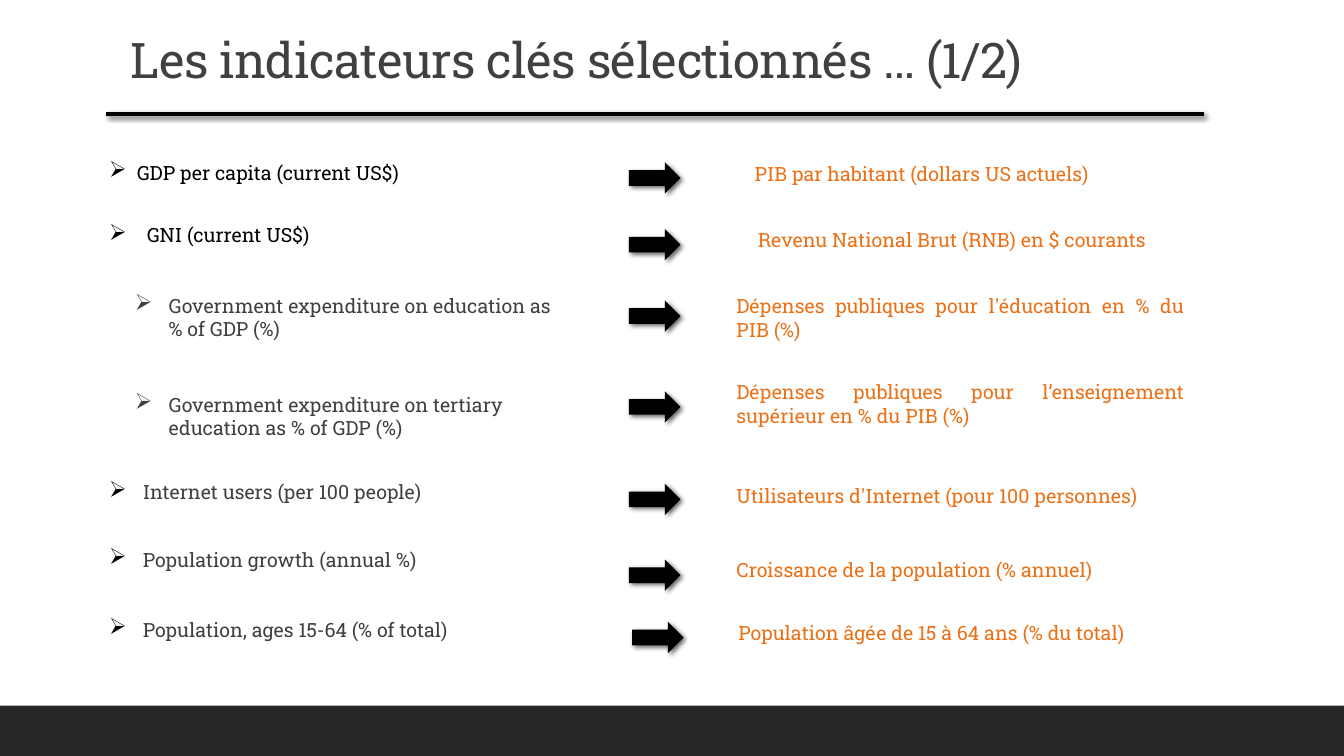
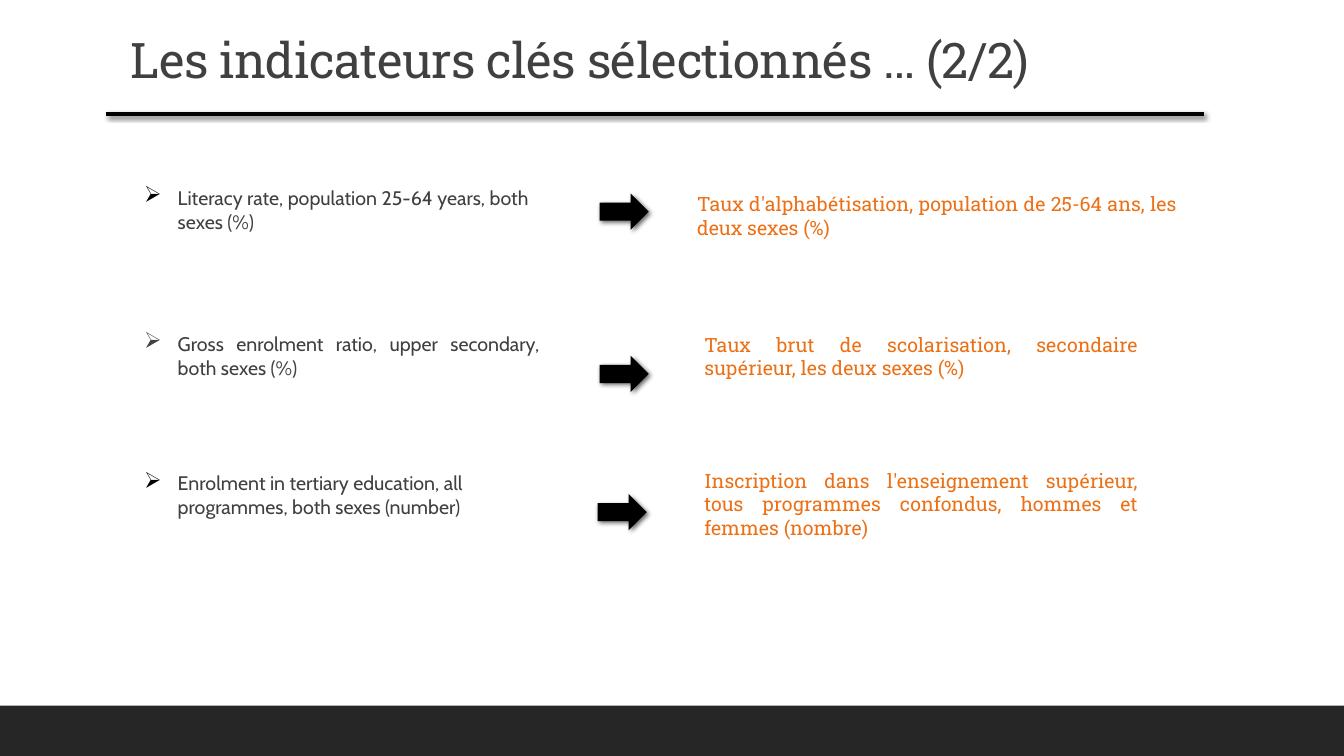
import dataclasses

import lxml.etree
import pptx
import pptx.dml.color
import pptx.enum.shapes
import pptx.enum.text
import pptx.oxml
import pptx.oxml.ns
import pptx.util

Cm = pptx.util.Cm
Pt = pptx.util.Pt
RGBColor = pptx.dml.color.RGBColor
Align = pptx.enum.text.PP_ALIGN
Shape = pptx.enum.shapes.MSO_SHAPE

BLACK = RGBColor(0x00, 0x00, 0x00)
DARK = RGBColor(0x40, 0x40, 0x40)
ORANGE = RGBColor(0xEC, 0x70, 0x16)
BAND = RGBColor(0x26, 0x26, 0x26)
SLAB = "Roboto Slab"
CABIN = "Cabin"
TITLE = "Les indicateurs clés sélectionnés … ({}/{})"
WIDTH, HEIGHT, BAND_HEIGHT = 33.87, 19.05, 1.27
BODY_SIZE = 14


@dataclasses.dataclass
class Row:
    """An indicator, its translation and their places; lengths in cm."""
    english: str
    french: str
    english_top: float
    arrow_top: float
    french_top: float
    english_left: float = 2.5
    indent: float = 0.85
    arrow_left: float = 15.85
    french_left: float = 18.31
    french_width: float = 11.79
    color: RGBColor = DARK
    bullet_color: RGBColor = BLACK
    align: Align = Align.LEFT


@dataclasses.dataclass
class Page:
    english_font: str
    english_right: float
    arrow_size: tuple
    rows: list


PAGES = [
    Page(SLAB, 14.4, (1.3, 0.79), [
        Row("GDP per capita (current US$)", "PIB par habitant (dollars US actuels)",
            3.93, 4.09, 3.96, indent=0.7, french_left=18.77, color=BLACK),
        Row("GNI (current US$)", "Revenu National Brut (RNB) en $ courants",
            5.5, 5.77, 5.61, indent=0.95, french_left=18.85, color=BLACK),
        Row("Government expenditure on education as % of GDP (%)",
            "Dépenses publiques pour l'éducation en % du PIB (%)",
            7.28, 7.57, 7.29, english_left=3.15, bullet_color=DARK),
        Row("Government expenditure on tertiary education as % of GDP (%)",
            "Dépenses publiques pour l’enseignement supérieur en % du PIB (%)",
            9.77, 9.86, 9.45, english_left=3.15, bullet_color=DARK),
        Row("Internet users (per 100 people)",
            "Utilisateurs d'Internet (pour 100 personnes)", 11.98, 12.19, 12.07),
        Row("Population growth (annual %)",
            "Croissance de la population (% annuel)", 13.68, 14.1, 13.94),
        Row("Population, ages 15-64 (% of total)",
            "Population âgée de 15 à 64 ans (% du total)",
            15.44, 15.67, 15.52, arrow_left=15.93, french_left=18.36),
    ]),
    Page(CABIN, 13.85, (1.24, 0.91), [
        Row("Literacy rate, population 25-64 years, both sexes (%)",
            "Taux d'alphabétisation, population de 25-64 ans, les deux sexes (%)",
            4.56, 4.88, 4.72, english_left=3.38, arrow_left=15.11,
            french_left=17.32, french_width=12.6),
        Row("Gross enrolment ratio, upper secondary, both sexes (%)",
            "Taux brut de scolarisation, secondaire supérieur, les deux sexes (%)",
            8.24, 8.97, 8.26, english_left=3.38, arrow_left=15.11,
            french_left=17.5, french_width=11.43,
            bullet_color=DARK, align=Align.JUSTIFY),
        Row("Enrolment in tertiary education, all programmes, both sexes (number)",
            "Inscription dans l'enseignement supérieur, tous programmes confondus, "
            "hommes et femmes (nombre)",
            11.75, 12.45, 11.68, english_left=3.38, arrow_left=15.06,
            french_left=17.5, french_width=11.43),
    ]),
]


def add_shadow(shape, blur):
    """Give a shape or connector a soft shadow towards the lower right."""
    properties = shape._element.spPr
    effects = pptx.oxml.parse_xml(
        f'<a:effectLst {pptx.oxml.ns.nsdecls("a")}>'
        f'<a:outerShdw blurRad="{Pt(blur)}" dist="{Pt(2)}" dir="2700000" '
        'algn="tl" rotWithShape="0"><a:srgbClr val="000000">'
        '<a:alpha val="60000"/></a:srgbClr></a:outerShdw></a:effectLst>')
    properties.append(effects)


def add_solid(slide, kind, left, top, width, height, color):
    shape = slide.shapes.add_shape(kind, Cm(left), Cm(top), Cm(width), Cm(height))
    shape.fill.solid()
    shape.fill.fore_color.rgb = color
    shape.line.fill.background()
    return shape


def add_text(slide, text, left, top, width, height, font, size, color, align):
    box = slide.shapes.add_textbox(Cm(left), Cm(top), Cm(width), Cm(height))
    box.text_frame.word_wrap = True
    para = box.text_frame.paragraphs[0]
    para.text = text
    para.alignment = align
    span = para.runs[0]
    span.font.name = font
    span.font.size = Pt(size)
    span.font.color.rgb = color
    return para


def add_bullet(para, indent, color):
    properties = para._p.get_or_add_pPr()
    properties.set("marL", str(Cm(indent)))
    properties.set("indent", str(-Cm(indent)))
    tag = pptx.oxml.ns.qn
    bullet_color = lxml.etree.SubElement(properties, tag("a:buClr"))
    lxml.etree.SubElement(bullet_color, tag("a:srgbClr"), val=str(color))
    lxml.etree.SubElement(properties, tag("a:buSzPct"), val="114000")
    lxml.etree.SubElement(properties, tag("a:buChar"), char="➢")


def add_frame(slide, title):
    """Draw the title, the rule below it and the bottom band."""
    band = add_solid(slide, Shape.RECTANGLE, 0, HEIGHT - BAND_HEIGHT,
                     WIDTH, BAND_HEIGHT, BAND)
    band.shadow.inherit = False
    para = add_text(slide, title, 3.05, 0.79, 27.94, 1.96, SLAB, 35, DARK, Align.LEFT)
    para.line_spacing = 0.9
    para.runs[0].font._element.set("spc", "-50")
    rule = slide.shapes.add_connector(
        pptx.enum.shapes.MSO_CONNECTOR.STRAIGHT, Cm(2.67), Cm(2.87), Cm(30.33), Cm(2.87))
    rule.line.color.rgb = BLACK
    rule.line.width = Pt(3)
    add_shadow(rule, 3)


def add_row(slide, page, row):
    para = add_text(slide, row.english, row.english_left, row.english_top,
                    page.english_right - row.english_left, 1.6,
                    page.english_font, BODY_SIZE, row.color, row.align)
    add_bullet(para, row.indent, row.bullet_color)
    arrow = add_solid(slide, Shape.RIGHT_ARROW, row.arrow_left, row.arrow_top,
                      *page.arrow_size, BLACK)
    add_shadow(arrow, 3.5)
    add_text(slide, row.french, row.french_left, row.french_top, row.french_width, 1.6,
             SLAB, BODY_SIZE, ORANGE, Align.JUSTIFY)


def main():
    deck = pptx.Presentation()
    deck.slide_width, deck.slide_height = Cm(WIDTH), Cm(HEIGHT)
    for number, page in enumerate(PAGES, 1):
        slide = deck.slides.add_slide(deck.slide_layouts[6])
        add_frame(slide, TITLE.format(number, len(PAGES)))
        for row in page.rows:
            add_row(slide, page, row)
    deck.save("out.pptx")


if __name__ == "__main__":
    main()
